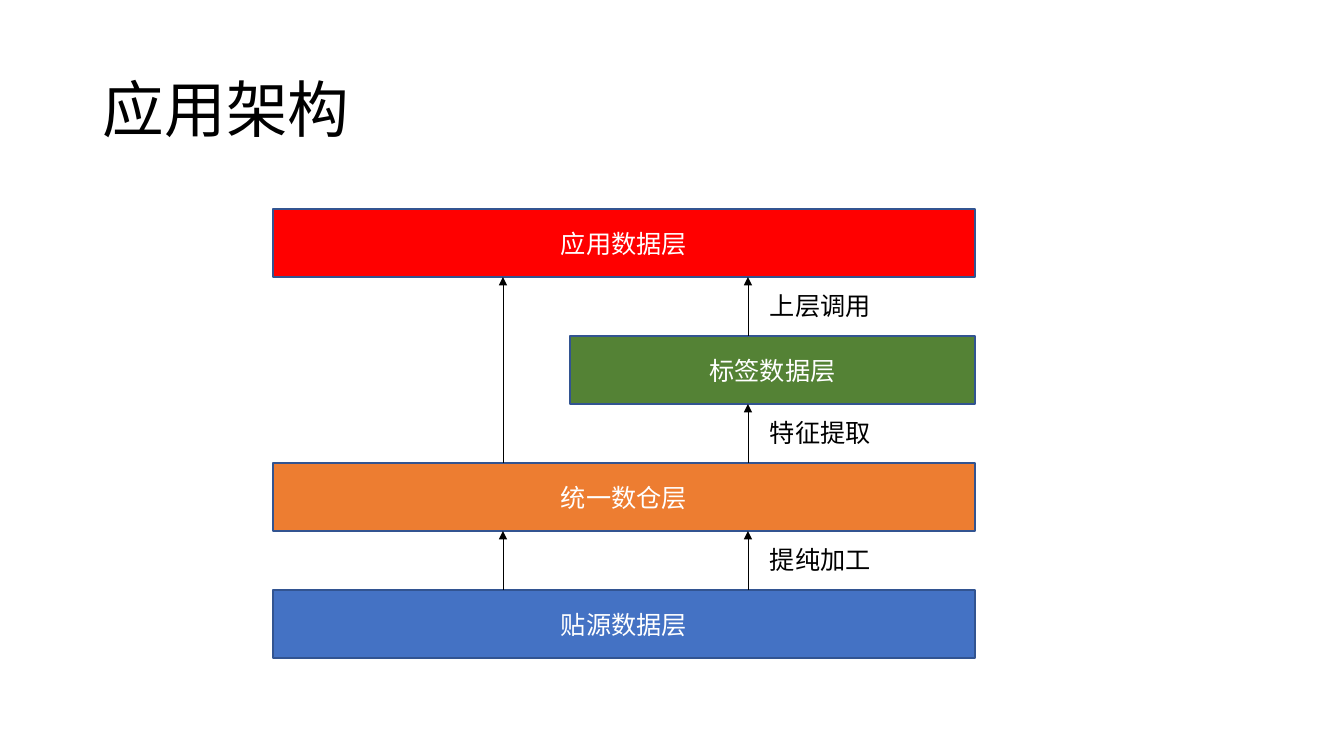
from dataclasses import dataclass

from lxml import etree
from pptx import Presentation
from pptx.dml.color import RGBColor
from pptx.enum.shapes import MSO_CONNECTOR, MSO_SHAPE
from pptx.enum.text import MSO_ANCHOR, PP_ALIGN
from pptx.oxml.ns import qn
from pptx.util import Pt

RECTANGLE = MSO_SHAPE.RECTANGLE
STRAIGHT = MSO_CONNECTOR.STRAIGHT
TOP, MIDDLE = MSO_ANCHOR.TOP, MSO_ANCHOR.MIDDLE
LEFT, CENTER = PP_ALIGN.LEFT, PP_ALIGN.CENTER


@dataclass(frozen=True)
class Theme:
    font: str = "Noto Sans CJK SC"
    title_size: int = 44
    body_size: int = 18
    text: str = "000000"
    layer_text: str = "FFFFFF"
    layer_line: str = "325491"
    application: str = "FF0000"
    tag: str = "548235"
    warehouse: str = "ED7D31"
    source: str = "4472C4"


THEME = Theme()

# Content, from the top layer down
TITLE = "应用架构"
WIDE, NARROW = 273, 570  # left edge of a layer
LAYERS = [
    ("应用数据层", WIDE, THEME.application),
    ("标签数据层", NARROW, THEME.tag),
    ("统一数仓层", WIDE, THEME.warehouse),
    ("贴源数据层", WIDE, THEME.source),
]
STEPS = ["上层调用", "特征提取", "提纯加工"]  # each between two neighbouring layers
LEFT_ARROW, RIGHT_ARROW = 503, 748
ARROWS = [  # x, lower layer, upper layer
    (LEFT_ARROW, 2, 0),
    (LEFT_ARROW, 3, 2),
    (RIGHT_ARROW, 1, 0),
    (RIGHT_ARROW, 2, 1),
    (RIGHT_ARROW, 3, 2),
]

# Layout in px
SLIDE_SIZE = (1344, 756)
TITLE_BOX = (93, 40, 1159, 146)
LAYER_RIGHT, LAYER_TOP, LAYER_HEIGHT, LAYER_PITCH = 975, 209, 68, 127
STEP_LEFT, STEP_OFFSET, STEP_WIDTH, STEP_HEIGHT = 760, 76, 136, 40


def px(length):
    return round(length * 914400 / 100.8)


def color(value):
    return RGBColor.from_string(value)


def layer_top(index):
    return LAYER_TOP + index * LAYER_PITCH


def write_text(shape, text, *, size=THEME.body_size, fill=THEME.text,
               align=LEFT, anchor=TOP, spacing=None):
    frame = shape.text_frame
    frame.word_wrap = True
    frame.vertical_anchor = anchor
    paragraph = frame.paragraphs[0]
    paragraph.alignment = align
    if spacing:
        paragraph.line_spacing = spacing
    run = paragraph.add_run()
    run.text = text
    run.font.size = Pt(size)
    run.font.color.rgb = color(fill)
    run.font.name = THEME.font
    east_asian = etree.SubElement(run.font._element, qn("a:ea"))
    east_asian.set("typeface", THEME.font)


def add_text_box(slide, box, text, **text_format):
    shape = slide.shapes.add_textbox(*map(px, box))
    write_text(shape, text, **text_format)


def add_layer(slide, index, name, left, fill):
    box = (left, layer_top(index), LAYER_RIGHT - left, LAYER_HEIGHT)
    shape = slide.shapes.add_shape(RECTANGLE, *map(px, box))
    shape.shadow.inherit = False
    shape.fill.solid()
    shape.fill.fore_color.rgb = color(fill)
    shape.line.color.rgb = color(THEME.layer_line)
    shape.line.width = Pt(1)
    write_text(shape, name, fill=THEME.layer_text, align=CENTER, anchor=MIDDLE)


def add_arrow(slide, x, lower, upper):
    ends = (x, layer_top(lower), x, layer_top(upper) + LAYER_HEIGHT)
    connector = slide.shapes.add_connector(STRAIGHT, *map(px, ends))
    connector.line.color.rgb = color(THEME.text)
    connector.line.width = Pt(0.5)
    properties = connector._element.spPr
    etree.SubElement(properties.find(qn("a:ln")), qn("a:tailEnd"), type="triangle")
    etree.SubElement(properties, qn("a:effectLst"))


def main():
    presentation = Presentation()
    presentation.slide_width, presentation.slide_height = map(px, SLIDE_SIZE)
    slide = presentation.slides.add_slide(presentation.slide_layouts[6])
    add_text_box(slide, TITLE_BOX, TITLE, size=THEME.title_size,
                 anchor=MIDDLE, spacing=0.9)
    for index, layer in enumerate(LAYERS):
        add_layer(slide, index, *layer)
    for arrow in ARROWS:
        add_arrow(slide, *arrow)
    for index, step in enumerate(STEPS):
        box = (STEP_LEFT, layer_top(index) + STEP_OFFSET, STEP_WIDTH, STEP_HEIGHT)
        add_text_box(slide, box, step)
    presentation.save("out.pptx")


if __name__ == "__main__":
    main()
